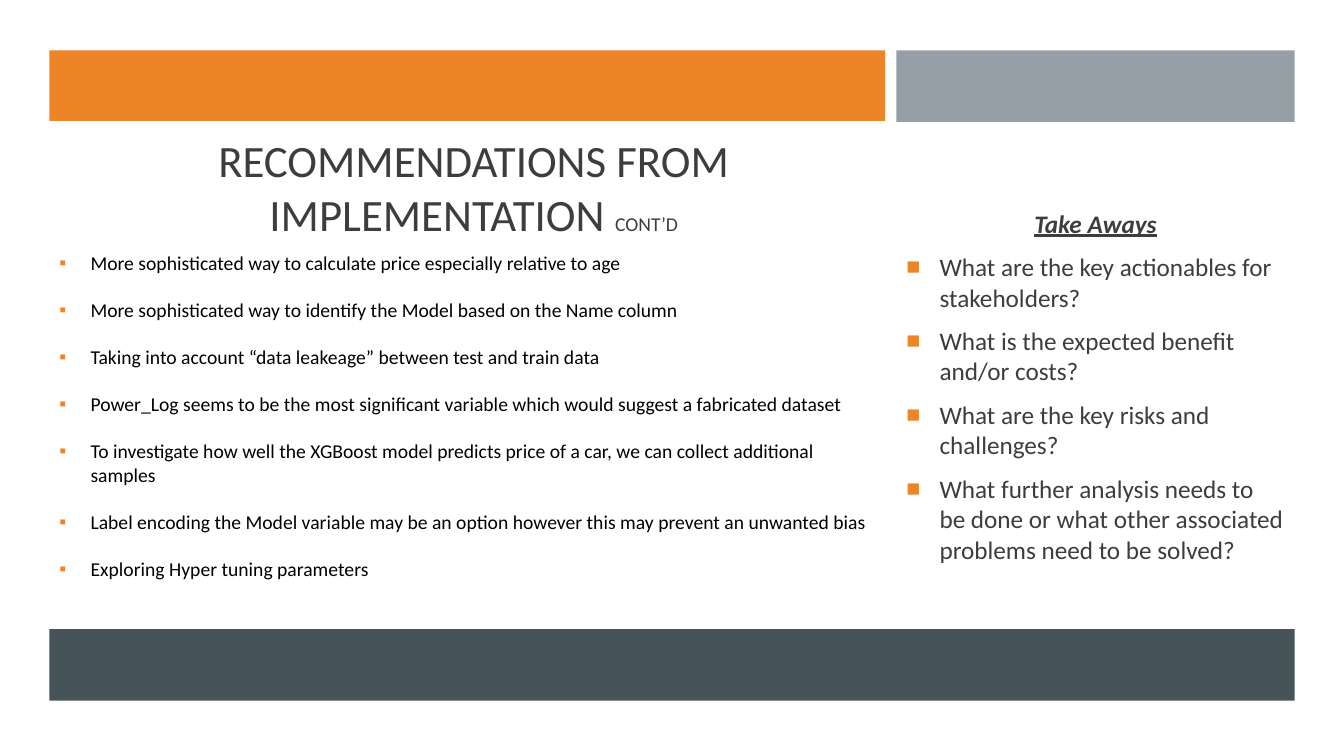
from dataclasses import dataclass

from lxml import etree
from pptx import Presentation
from pptx.dml.color import RGBColor
from pptx.enum.shapes import MSO_SHAPE
from pptx.enum.text import MSO_ANCHOR, PP_ALIGN
from pptx.oxml.ns import qn
from pptx.util import Inches, Pt

RECTANGLE = MSO_SHAPE.RECTANGLE
TOP, MIDDLE = MSO_ANCHOR.TOP, MSO_ANCHOR.MIDDLE
CENTER = PP_ALIGN.CENTER

FONT = "Calibri"
ORANGE, GRAY, SLATE = "ED8428", "969FA7", "465359"
INK, BLACK = "3D3D3D", "000000"


@dataclass(frozen=True)
class Box:
    left: float
    top: float
    width: float
    height: float

    def lengths(self) -> list:
        return [Inches(v) for v in (self.left, self.top, self.width, self.height)]


@dataclass(frozen=True)
class Band:
    box: Box
    color: str


@dataclass(frozen=True)
class BulletStyle:
    symbol: str
    percent: int
    indent: float
    size: float
    color: str
    before: float
    after: float


BANDS = [
    Band(Box(0.49, 0.5, 8.29, 0.7), ORANGE),
    Band(Box(8.89, 0.5, 3.95, 0.71), GRAY),
    Band(Box(0.49, 6.24, 12.35, 0.71), SLATE),
]

QUESTION_STYLE = BulletStyle("■", 92, 0.33, 18, INK, 3.6, 6)
QUESTIONS = [
    "What are the key actionables for stakeholders?",
    "What is the expected benefit and/or costs?",
    "What are the key risks and challenges?",
    "What further analysis needs to be done or what other associated problems need to be solved?",
]

RECOMMENDATION_STYLE = BulletStyle("▪", 100, 0.31, 14, BLACK, 0, 16.8)
RECOMMENDATIONS = [
    "More sophisticated way to calculate price especially relative to age",
    "More sophisticated way to identify the Model based on the Name column",
    "Taking into account “data leakeage” between test and train data",
    "Power_Log seems to be the most significant variable which would suggest a fabricated dataset",
    "To investigate how well the XGBoost model predicts price of a car, we can collect additional samples",
    "Label encoding the Model variable may be an option however this may prevent an unwanted bias",
    "Exploring Hyper tuning parameters",
]


def rgb(color: str) -> RGBColor:
    return RGBColor.from_string(color)


def set_font(font, size: float, color: str) -> None:
    font.name = FONT
    font.size = Pt(size)
    font.color.rgb = rgb(color)


def add_band(slide, band: Band) -> None:
    shape = slide.shapes.add_shape(RECTANGLE, *band.box.lengths())
    shape.shadow.inherit = False
    shape.fill.solid()
    shape.fill.fore_color.rgb = rgb(band.color)
    shape.line.fill.background()


def add_text_frame(slide, box: Box, anchor):
    frame = slide.shapes.add_textbox(*box.lengths()).text_frame
    frame.word_wrap = True
    frame.vertical_anchor = anchor
    return frame


def set_bullet(paragraph, style: BulletStyle) -> None:
    """Give the paragraph a hanging indent and an orange bullet."""
    properties = paragraph._p.get_or_add_pPr()
    properties.set("marL", str(Inches(style.indent)))
    properties.set("indent", str(-Inches(style.indent)))
    color = etree.SubElement(properties, qn("a:buClr"))
    etree.SubElement(color, qn("a:srgbClr"), val=ORANGE)
    etree.SubElement(properties, qn("a:buSzPct"), val=str(style.percent * 1000))
    etree.SubElement(properties, qn("a:buFont"), typeface="Arial")
    etree.SubElement(properties, qn("a:buChar"), char=style.symbol)


def fill_bullets(frame, items: list[str], style: BulletStyle) -> None:
    """Write the items, starting in the first paragraph if it is still empty."""
    for item in items:
        first = frame.paragraphs[0]
        paragraph = frame.add_paragraph() if first.text else first
        paragraph.text = item
        paragraph.space_before = Pt(style.before)
        paragraph.space_after = Pt(style.after)
        set_font(paragraph.font, style.size, style.color)
        set_bullet(paragraph, style)


def add_title(slide) -> None:
    paragraph = add_text_frame(slide, Box(0.62, 1.43, 8.16, 0.84), MIDDLE).paragraphs[0]
    paragraph.alignment = CENTER
    for text, size in (("RECOMMENDATIONS FROM IMPLEMENTATION ", 32), ("CONT’D", 14)):
        run = paragraph.add_run()
        run.text = text
        set_font(run.font, size, INK)


def add_take_aways(slide) -> None:
    frame = add_text_frame(slide, Box(8.89, 1.7, 3.95, 4.26), MIDDLE)
    heading = frame.paragraphs[0]
    heading.text = "Take Aways"
    heading.alignment = CENTER
    heading.space_before = Pt(QUESTION_STYLE.before)
    heading.space_after = Pt(QUESTION_STYLE.after)
    set_font(heading.font, QUESTION_STYLE.size, INK)
    heading.font.bold = heading.font.italic = heading.font.underline = True
    fill_bullets(frame, QUESTIONS, QUESTION_STYLE)


def add_recommendations(slide) -> None:
    frame = add_text_frame(slide, Box(0.49, 2.44, 8.26, 4.24), TOP)
    fill_bullets(frame, RECOMMENDATIONS, RECOMMENDATION_STYLE)


def main() -> None:
    presentation = Presentation()
    presentation.slide_width = Inches(13.33)
    presentation.slide_height = Inches(7.5)
    slide = presentation.slides.add_slide(presentation.slide_layouts[6])
    add_title(slide)
    add_take_aways(slide)
    for band in BANDS:
        add_band(slide, band)
    add_recommendations(slide)
    presentation.save("out.pptx")


if __name__ == "__main__":
    main()
